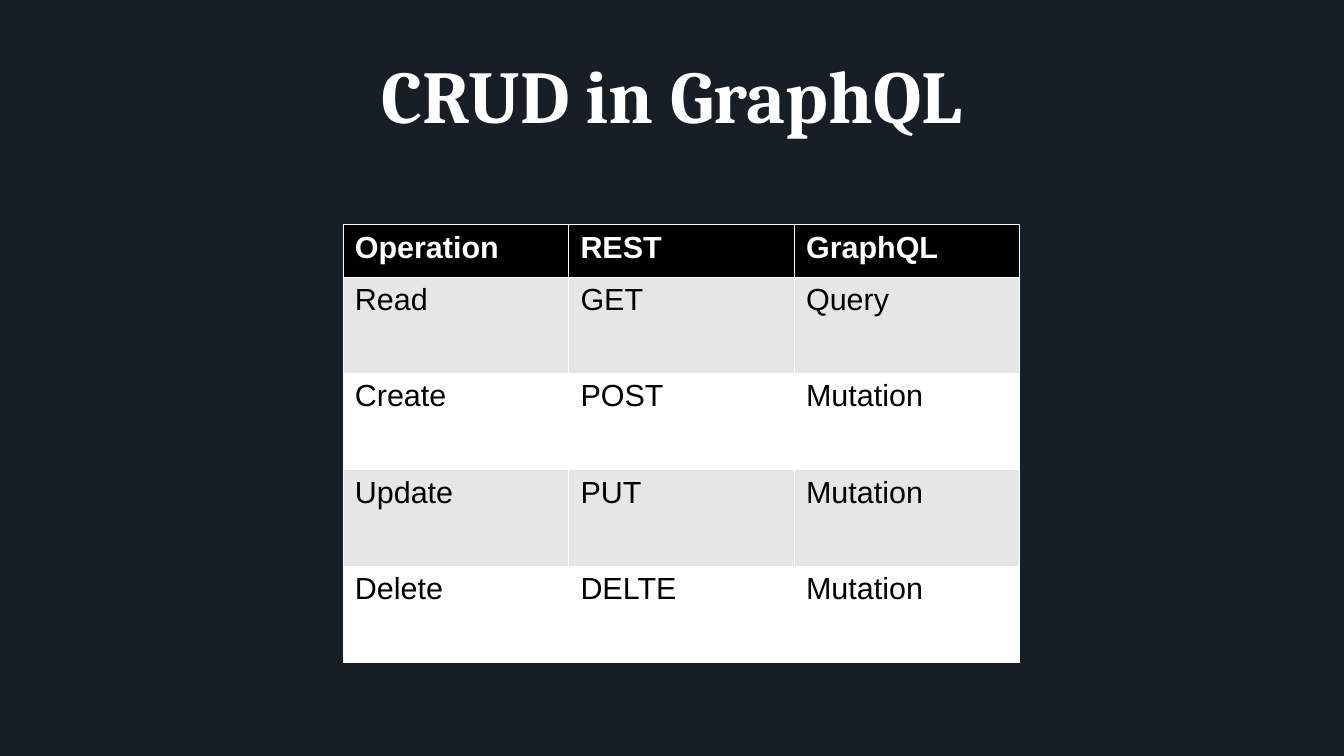
"""Build a slide comparing CRUD operations in REST and GraphQL."""
import pptx
import pptx.dml.color
import pptx.enum.text
import pptx.oxml.ns
import pptx.util
from lxml import etree

Inches = pptx.util.Inches
Pt = pptx.util.Pt
RGBColor = pptx.dml.color.RGBColor

TITLE = "CRUD in GraphQL"
ROWS = [
    ("Operation", "REST", "GraphQL"),
    ("Read", "GET", "Query"),
    ("Create", "POST", "Mutation"),
    ("Update", "PUT", "Mutation"),
    ("Delete", "DELTE", "Mutation"),
]
NAVY = RGBColor(0x17, 0x1E, 0x26)
BLACK = RGBColor(0, 0, 0)
WHITE = RGBColor(0xFF, 0xFF, 0xFF)
GREY = RGBColor(0xE6, 0xE6, 0xE6)
COLUMN_WIDTH = 1.85
HEADER_HEIGHT = 0.43
ROW_HEIGHT = 0.79
BORDER_WIDTH = Pt(0.06)


def style_font(font, name, size, color, bold):
    font.name = name
    font.size = Pt(size)
    font.color.rgb = color
    font.bold = bold


def add_borders(cell):
    properties = cell._tc.get_or_add_tcPr()
    qn = pptx.oxml.ns.qn
    for side in ("a:lnL", "a:lnR", "a:lnT", "a:lnB"):
        line = etree.SubElement(properties, qn(side), w=str(BORDER_WIDTH))
        fill = etree.SubElement(line, qn("a:solidFill"))
        etree.SubElement(fill, qn("a:srgbClr"), val=str(WHITE))


def add_title(page):
    title = page.shapes.title
    title.left, title.top = Inches(0.55), Inches(0.25)
    title.width, title.height = Inches(9.92), Inches(1.03)
    frame = title.text_frame
    frame.text = TITLE
    frame.word_wrap = True
    frame.auto_size = pptx.enum.text.MSO_AUTO_SIZE.NONE
    frame.vertical_anchor = pptx.enum.text.MSO_ANCHOR.MIDDLE
    frame.margin_left = frame.margin_right = 0
    frame.margin_top = frame.margin_bottom = 0
    para = frame.paragraphs[0]
    para.alignment = pptx.enum.text.PP_ALIGN.CENTER
    style_font(para.runs[0].font, "Cambria", 44, WHITE, True)


def add_operations(page):
    heights = [HEADER_HEIGHT] + [ROW_HEIGHT] * (len(ROWS) - 1)
    columns = len(ROWS[0])
    table = page.shapes.add_table(
        len(ROWS), columns, Inches(2.81), Inches(1.84),
        Inches(COLUMN_WIDTH * columns), Inches(sum(heights))).table
    for column in table.columns:
        column.width = Inches(COLUMN_WIDTH)
    for index, (values, height) in enumerate(zip(ROWS, heights)):
        table.rows[index].height = Inches(height)
        header = index == 0
        background = BLACK if header else GREY if index % 2 else WHITE
        for cell, value in zip(table.rows[index].cells, values):
            cell.text = value
            add_borders(cell)
            cell.fill.solid()
            cell.fill.fore_color.rgb = background
            span = cell.text_frame.paragraphs[0].runs[0]
            style_font(span.font, "Arial", 18, WHITE if header else BLACK, header)


def main():
    deck = pptx.Presentation()
    deck.slide_width, deck.slide_height = Inches(11.02), Inches(6.2)
    page = deck.slides.add_slide(deck.slide_layouts[5])
    page.background.fill.solid()
    page.background.fill.fore_color.rgb = NAVY
    add_title(page)
    add_operations(page)
    deck.save("out.pptx")


if __name__ == "__main__":
    main()
